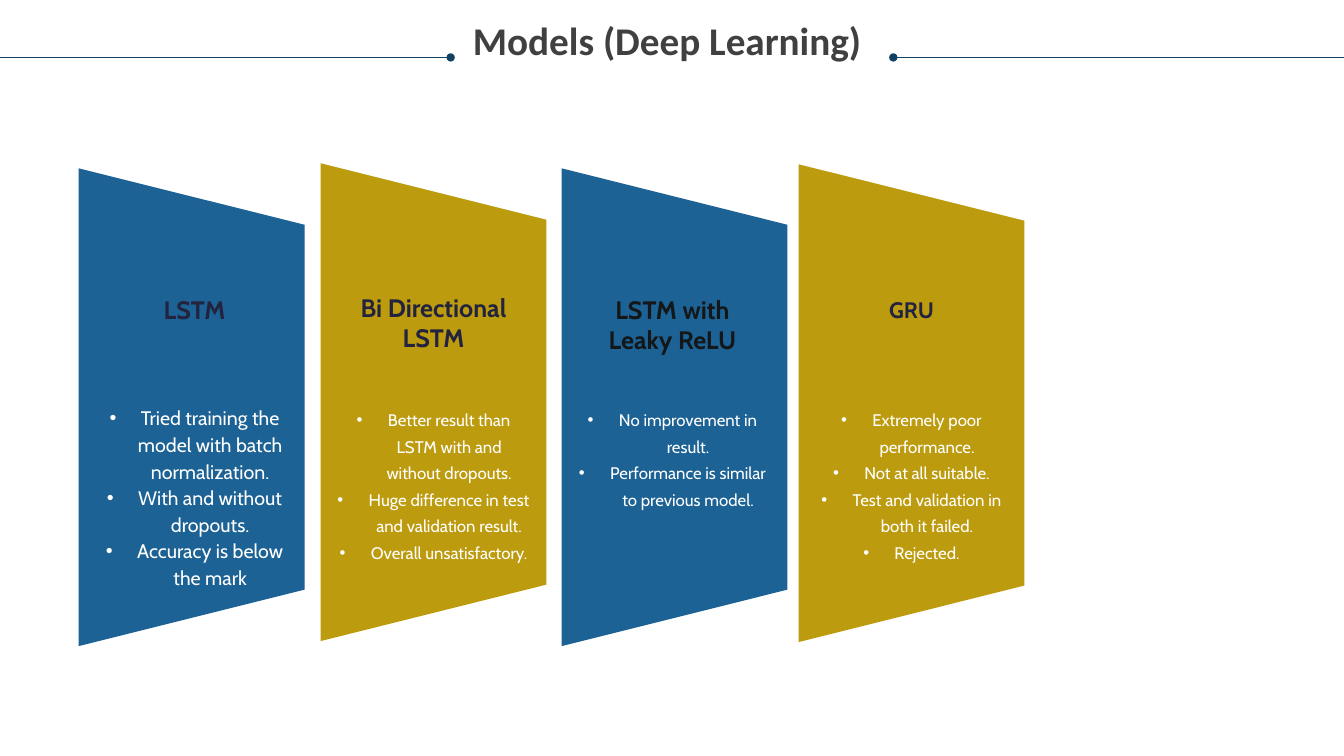
from dataclasses import dataclass

from lxml import etree
from pptx import Presentation
from pptx.dml.color import RGBColor
from pptx.enum.shapes import MSO_CONNECTOR, MSO_SHAPE
from pptx.enum.text import MSO_ANCHOR, MSO_AUTO_SIZE, PP_ALIGN
from pptx.oxml.ns import qn
from pptx.util import Inches, Pt

STRAIGHT = MSO_CONNECTOR.STRAIGHT
TRAPEZOID = MSO_SHAPE.TRAPEZOID
TOP = MSO_ANCHOR.TOP
NO_AUTOFIT = MSO_AUTO_SIZE.NONE
CENTER = PP_ALIGN.CENTER

SLIDE_WIDTH, SLIDE_HEIGHT = 13.33, 7.5
COMPARISON_LAYOUT = 4
COLUMN = 2.37
HEADING_LEFT, HEADING_WIDTH = 1.18, 1.5
LIST_LEFT, LIST_TOP, LIST_WIDTH = 0.97, 4, 1.92
PANEL_WIDTH, PANEL_HEIGHT = 2.24, 4.74
RULE_TOP = 0.57
BULLET_INDENT = 0.31


@dataclass(frozen=True)
class Theme:
    blue: str = "1D6294"
    gold: str = "BD9B0E"
    rule: str = "134163"
    title: str = "404040"
    heading: str = "22233E"
    dark_heading: str = "141719"
    body: str = "FFFFFF"
    title_font: str = "Calibri"
    card_font: str = "Cabin"
    title_size: int = 28
    heading_size: int = 18
    small_heading_size: int = 16
    large_body_size: int = 14
    body_size: int = 12
    line_pitch: int = 19


THEME = Theme()


@dataclass(frozen=True)
class ModelCard:
    name: str
    findings: tuple[str, ...]
    fill: str
    panel_left: float
    panel_top: float
    heading_top: float
    heading_height: float
    list_height: float
    heading_color: str = THEME.heading
    heading_size: int = THEME.heading_size
    body_size: int = THEME.body_size


CARDS = (
    ModelCard("LSTM",
              ("Tried training the model with batch normalization.",
               "With and without dropouts.",
               "Accuracy is below the mark"),
              THEME.blue, 0.78, 1.67, 2.92, 0.3, 2.12,
              body_size=THEME.large_body_size),
    ModelCard("Bi Directional LSTM",
              ("Better result than LSTM with and without dropouts.",
               "Huge difference in test and validation result.",
               "Overall unsatisfactory."),
              THEME.gold, 3.18, 1.62, 2.9, 0.61, 1.85),
    ModelCard("LSTM with Leaky ReLU",
              ("No improvement in result.",
               "Performance is similar to previous model."),
              THEME.blue, 5.57, 1.67, 2.92, 0.61, 1.04,
              heading_color=THEME.dark_heading),
    ModelCard("GRU",
              ("Extremely poor performance.",
               "Not at all suitable.",
               "Test and validation in both it failed.",
               "Rejected."),
              THEME.gold, 7.92, 1.63, 2.94, 0.27, 1.58,
              heading_size=THEME.small_heading_size),
)


def place(shape, left: float, top: float, width: float, height: float) -> None:
    shape.left, shape.top = Inches(left), Inches(top)
    shape.width, shape.height = Inches(width), Inches(height)


def write(shape, lines: tuple[str, ...], *, font: str, size: int, color: str,
          bold: bool = False, spacing=1.0, bulleted: bool = False) -> None:
    frame = shape.text_frame
    frame.margin_left = frame.margin_right = 0
    frame.margin_top = frame.margin_bottom = 0
    frame.word_wrap = True
    frame.auto_size = NO_AUTOFIT
    frame.vertical_anchor = TOP
    for index, line in enumerate(lines):
        paragraph = frame.add_paragraph() if index else frame.paragraphs[0]
        paragraph.alignment = CENTER
        paragraph.line_spacing = spacing
        paragraph.space_before = paragraph.space_after = Pt(0)
        run = paragraph.add_run()
        run.text = line
        run.font.name = font
        run.font.size = Pt(size)
        run.font.bold = bold
        run.font.color.rgb = RGBColor.from_string(color)
        if bulleted:
            properties = paragraph._p.get_or_add_pPr()
            properties.set("marL", str(Inches(BULLET_INDENT)))
            properties.set("indent", str(-Inches(BULLET_INDENT)))
            etree.SubElement(properties, qn("a:buChar")).set("char", "•")


def draw_rule(slide, start: float, end: float, dotted_end: str) -> None:
    rule = slide.shapes.add_connector(
        STRAIGHT, Inches(start), Inches(RULE_TOP), Inches(end), Inches(RULE_TOP))
    rule.line.color.rgb = RGBColor.from_string(THEME.rule)
    rule.line.width = Pt(0.75)
    etree.SubElement(rule.line._get_or_add_ln(), qn(dotted_end)).set("type", "oval")
    etree.SubElement(rule.element.spPr, qn("a:effectLst"))


def draw_panel(slide, card: ModelCard) -> None:
    turn = (PANEL_HEIGHT - PANEL_WIDTH) / 2
    panel = slide.shapes.add_shape(
        TRAPEZOID, Inches(card.panel_left - turn), Inches(card.panel_top + turn),
        Inches(PANEL_HEIGHT), Inches(PANEL_WIDTH))
    panel.rotation = 90
    panel.shadow.inherit = False
    panel.fill.solid()
    panel.fill.fore_color.rgb = RGBColor.from_string(card.fill)
    panel.line.fill.background()


def draw_card(slide, card: ModelCard, column: int, findings) -> None:
    draw_panel(slide, card)
    offset = column * COLUMN
    heading = slide.shapes.add_textbox(
        Inches(HEADING_LEFT + offset), Inches(card.heading_top),
        Inches(HEADING_WIDTH), Inches(card.heading_height))
    write(heading, (card.name,), font=THEME.card_font, size=card.heading_size,
          color=card.heading_color, bold=True)
    place(findings, LIST_LEFT + offset, LIST_TOP, LIST_WIDTH, card.list_height)
    write(findings, card.findings, font=THEME.card_font, size=card.body_size,
          color=THEME.body, spacing=Pt(THEME.line_pitch), bulleted=True)
    slide.shapes.element.append(findings.element)


def main() -> None:
    deck = Presentation()
    deck.slide_width, deck.slide_height = Inches(SLIDE_WIDTH), Inches(SLIDE_HEIGHT)
    slide = deck.slides.add_slide(deck.slide_layouts[COMPARISON_LAYOUT])
    title, *lists = slide.placeholders
    place(title, 0.25, 0.21, 12.73, 0.85)
    write(title, ("Models (Deep Learning)",), font=THEME.title_font,
          size=THEME.title_size, color=THEME.title, bold=True, spacing=0.9)
    draw_rule(slide, 8.86, SLIDE_WIDTH, "a:headEnd")
    draw_rule(slide, 0, 4.47, "a:tailEnd")
    for column, (card, findings) in enumerate(zip(CARDS, lists)):
        draw_card(slide, card, column, findings)
    deck.save("out.pptx")


if __name__ == "__main__":
    main()
